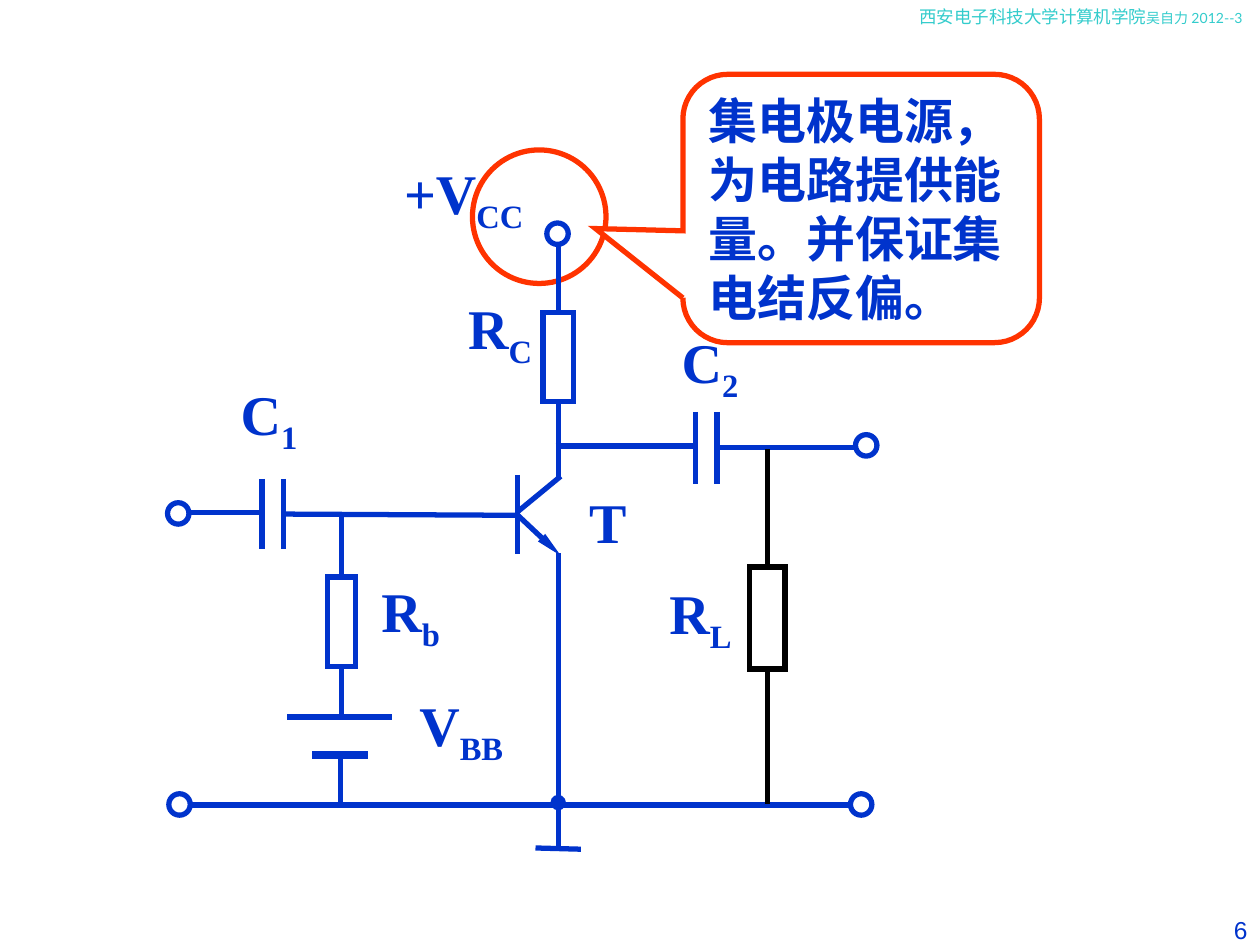
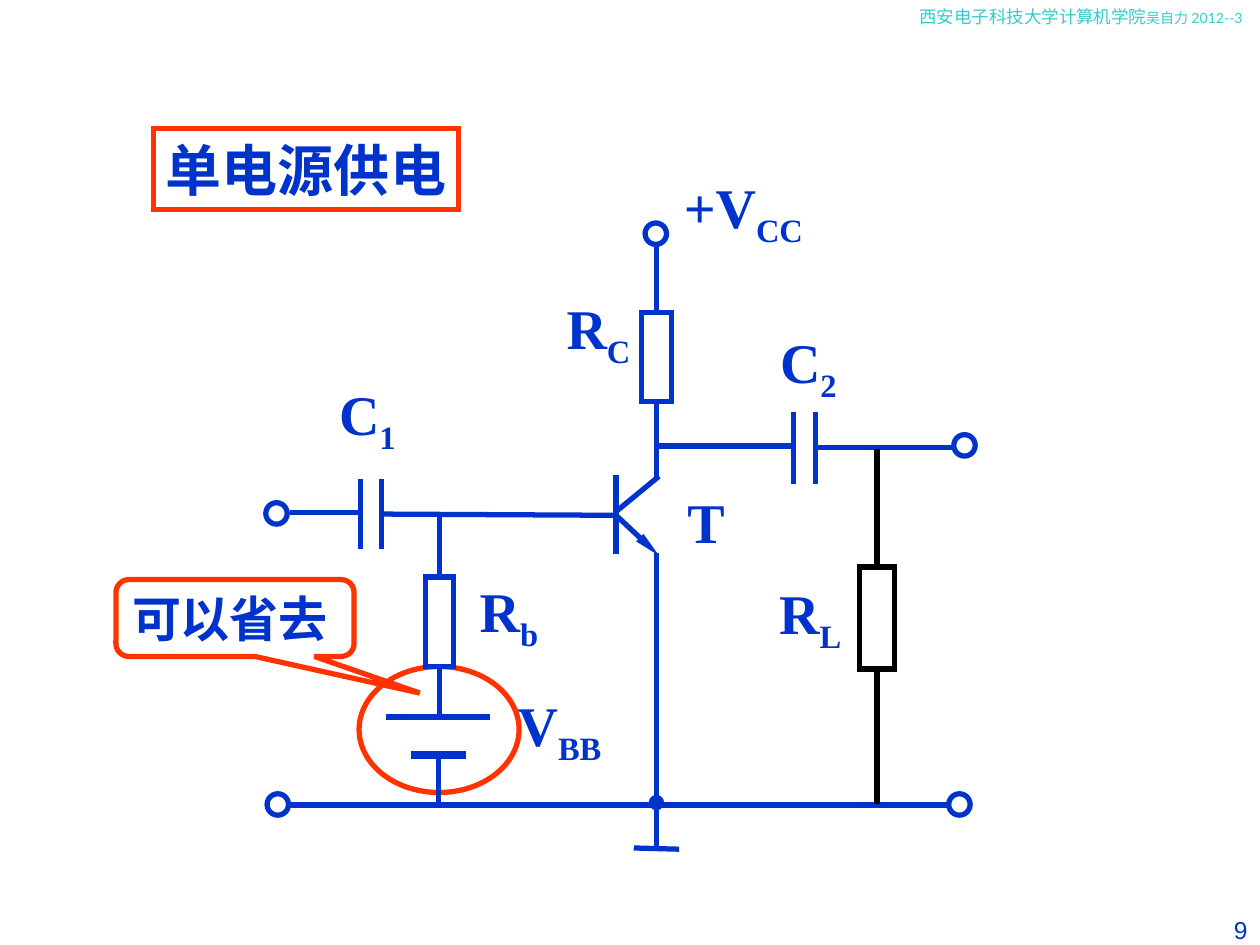
from dataclasses import dataclass
from lxml.etree import SubElement
from pptx import Presentation
from pptx.dml.color import RGBColor
from pptx.enum.shapes import MSO_CONNECTOR, MSO_SHAPE
from pptx.enum.text import MSO_ANCHOR, MSO_AUTO_SIZE, PP_ALIGN
from pptx.oxml.ns import qn
from pptx.util import Pt


@dataclass
class Theme:
    blue: str = "0033CC"
    red: str = "FF3300"
    teal: str = "33CCCC"
    black: str = "000000"
    white: str = "FFFFFF"
    serif: str = "Times New Roman"
    sans: str = "Arial"
    head: str = "Lato"
    large: int = 32
    note: int = 28
    page: int = 14
    school: int = 10
    date: int = 8
    stroke: float = 3
    thick: float = 4.5


theme = Theme()
px = 9144


def draw(shape, box, line, fill=None):
    shape.left, shape.top, shape.width, shape.height = [n * px for n in box]
    shape.shadow.inherit = False
    shape.line.color.rgb = RGBColor.from_string(line)
    shape.line.width = Pt(theme.stroke)
    SubElement(shape.line._get_or_add_ln(), qn("a:miter"), lim="800000")
    if fill:
        shape.fill.solid()
        shape.fill.fore_color.rgb = RGBColor.from_string(fill)
    else:
        shape.fill.background()
    return shape


def write(shape, runs, face=theme.serif, tint=theme.blue, bold=True,
          align=PP_ALIGN.LEFT, anchor=MSO_ANCHOR.MIDDLE, wrap=False):
    frame = shape.text_frame
    frame.auto_size = MSO_AUTO_SIZE.NONE
    frame.word_wrap = wrap
    frame.vertical_anchor = anchor
    para = frame.paragraphs[0]
    para.alignment = align
    for text, size, base in runs:
        run = para.add_run()
        run.text = text
        run.font.size = Pt(size)
        run.font.name = face
        run.font.bold = bold
        run.font.color.rgb = RGBColor.from_string(tint)
        if base:
            run._r.get_or_add_rPr().set("baseline", str(base * 1000))


pages = [
    dict(page="6", shift=0, load=0, supply=(311, 121), title=None,
         ring=(375, 119, 106, 106), call=(542, 59, 283, 213),
         tip=(-0.745, 0.075, 0.167),
         note="集电极电源，为电路提供能量。并保证集电结反偏。"),
    dict(page="9", shift=78, load=87, supply=(455, 132), title="单电源供电",
         ring=(285, 529, 127, 100), call=(92, 460, 189, 61),
         tip=(0.776, 0.977, 0.167), note="可以省去"),
]

wires = [
    (152, 407, 207, 407), (225, 408, 411, 409),
    (441, 354, 551, 354), (569, 355, 680, 355),
    (152, 639, 676, 639), (443, 439, 443, 675),
    (270, 600, 270, 639), (228, 569, 311, 569),
    (411, 377, 411, 440), (411, 406, 445, 378),
    (425, 673, 461, 674),
]
wires += [(x, 380, x, 436) for x in (208, 225)]
wires += [(x, 327, x, 384) for x in (552, 569)]
cell = (248, 599, 292, 599)
arrow = (411, 409, 445, 441)
rings = [(434, 177), (133, 399), (134, 630), (679, 345), (675, 630)]
labels = [
    ("R", "b", 293, 452, 66), ("R", "C", 362, 228, 70),
    ("C", "1", 181, 296, 65), ("C", "2", 531, 255, 65),
    ("V", "BB", 323, 543, 86), ("T", "", 458, 378, 49),
]

deck = Presentation()
deck.slide_width = 1000 * px
deck.slide_height = 750 * px

for view in pages:
    layout = deck.slide_layouts[5 if view["title"] else 6]
    slide = deck.slides.add_slide(layout)
    shapes = slide.shapes
    shift, load = view["shift"], view["load"]

    head = shapes.add_textbox(720 * px, 0, 280 * px, 40 * px)
    write(head, [("西安电子科技大学计算机学院", theme.school, 0),
                 ("吴自力 2012--3", theme.date, 0)],
          theme.head, theme.teal, False, anchor=MSO_ANCHOR.TOP)

    if view["title"]:
        title = draw(shapes.title, (122, 102, 242, 64), theme.red)
        title.text_frame.margin_left = title.text_frame.margin_right = 0
        write(title, [(view["title"], theme.large, 0)], align=PP_ALIGN.CENTER)

    draw(shapes.add_shape(MSO_SHAPE.OVAL, 0, 0, 0, 0), view["ring"], theme.red)
    call = draw(shapes.add_shape(MSO_SHAPE.ROUNDED_RECTANGULAR_CALLOUT, 0, 0, 0, 0),
                view["call"], theme.red, theme.white)
    for spot, value in enumerate(view["tip"]):
        call.adjustments[spot] = value
    write(call, [(view["note"], theme.note, 0)], wrap=True)

    paths = [(wire, shift, theme.blue, None, None) for wire in wires + [cell, arrow]]
    parts = [
        ((431, 248, 24, 71), 194, 380, shift, theme.blue),
        ((260, 458, 22, 71), 408, 569, shift, theme.blue),
        ((595, 450, 28, 81), 356, 638, load, theme.black),
    ]
    for (left, top, width, height), start, end, move, tint in parts:
        part = draw(shapes.add_shape(MSO_SHAPE.RECTANGLE, 0, 0, 0, 0),
                    (left + move, top, width, height), tint, theme.white)
        mid = left + width // 2
        paths.append(((mid, top, mid, start), move, tint, part, 0))
        paths.append(((mid, top + height, mid, end), move, tint, part, 2))

    for wire, move, tint, part, side in paths:
        x, y, far, low = wire
        line = shapes.add_connector(
            MSO_CONNECTOR.STRAIGHT, (x + move) * px, y * px, (far + move) * px, low * px)
        line.line.color.rgb = RGBColor.from_string(tint)
        line.line.width = Pt(theme.thick if wire == cell else theme.stroke)
        if part:
            line.begin_connect(part, side)
        if wire == arrow:
            SubElement(line.line._get_or_add_ln(), qn("a:tailEnd"),
                       type="triangle", w="sm", len="lg")
        SubElement(line._element.spPr, qn("a:effectLst"))

    dots = [(x, y, 17, None) for x, y in rings] + [(439, 633, 8, theme.blue)]
    for x, y, size, fill in dots:
        draw(shapes.add_shape(MSO_SHAPE.OVAL, 0, 0, 0, 0),
             (x + shift, y, size, size), theme.blue, fill)

    names = labels + [("+V", "CC", *view["supply"], 114),
                      ("R", "L", 521 + load - shift, 454, 70)]
    for name, sub, x, y, width in names:
        label = shapes.add_textbox((x + shift) * px, y * px, width * px, 71 * px)
        runs = [(name, theme.large, 0)]
        if sub:
            runs.append((sub, theme.large, -25))
        write(label, runs, align=PP_ALIGN.CENTER)

    page = shapes.add_textbox(941 * px, 721 * px, 59 * px, 28 * px)
    write(page, [(view["page"], theme.page, 0)], theme.sans, bold=False,
          align=PP_ALIGN.RIGHT, anchor=MSO_ANCHOR.TOP, wrap=True)

deck.save("out.pptx")
